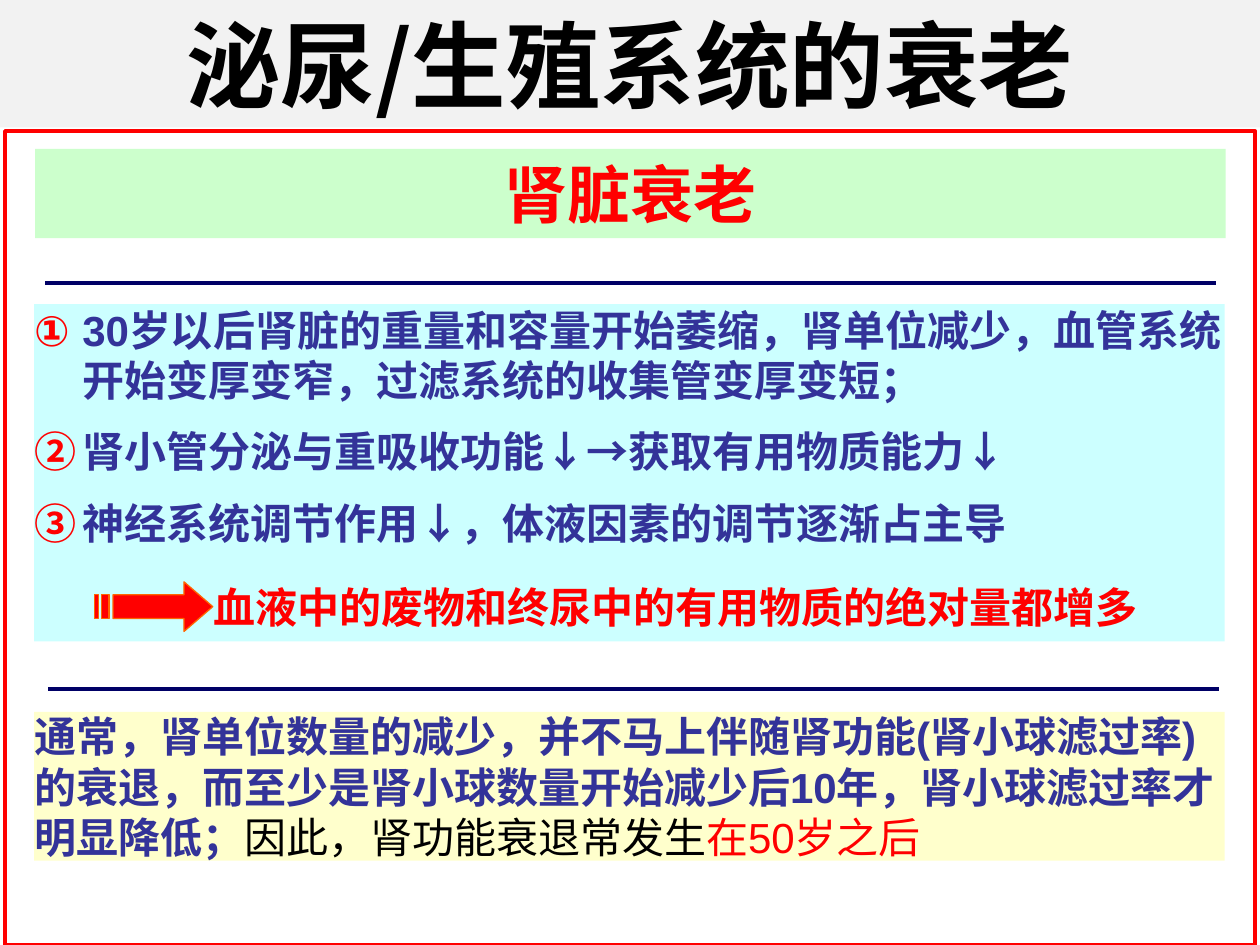
import pptx
import pptx.dml.color
import pptx.enum.shapes
import pptx.enum.text
import pptx.oxml
import pptx.oxml.ns
import pptx.util

Cm, Pt = pptx.util.Cm, pptx.util.Pt
ALIGN = pptx.enum.text.PP_ALIGN
ANCHOR = pptx.enum.text.MSO_ANCHOR
RECT = pptx.enum.shapes.MSO_SHAPE.RECTANGLE
LINE = pptx.enum.shapes.MSO_CONNECTOR.STRAIGHT
HAN = "Noto Sans CJK SC"
RED, NAVY, BLUE = "FF0000", "000066", "333399"

# Each paragraph is a list of runs: (words, colour, bold)
TITLE = [[("泌尿/生殖系统的衰老", "000000", True)]]
TOPIC = [[("肾脏衰老", RED, True)]]
ITEMS = [
    [("30岁以后肾脏的重量和容量开始萎缩，肾单位减少，血管系统开始变厚变窄，"
      "过滤系统的收集管变厚变短；", BLUE, True)],
    [("肾小管分泌与重吸收功能↓→获取有用物质能力↓", BLUE, True)],
    [("神经系统调节作用↓，体液因素的调节逐渐占主导", BLUE, True)],
]
RESULT = [[("血液中的废物和终尿中的有用物质的绝对量都增多", RED, True)]]
NOTE = [[
    ("通常，肾单位数量的减少，并不马上伴随肾功能(肾小球滤过率)的衰退，"
     "而至少是肾小球数量开始减少后10年，肾小球滤过率才明显降低；", BLUE, True),
    ("因此，肾功能衰退常发生", "000000", False),
    ("在50岁之后", RED, False),
]]
RULES = [(0.91, 5.71), (0.97, 13.89)]  # left, top
RULE_W = 23.6
LEFT, WIDE = 0.69, 24


def tint(text):
    return pptx.dml.color.RGBColor.from_string(text)


def paint(shape, fill=None, line=None, width=0):
    shape.shadow.inherit = False
    if fill:
        shape.fill.solid()
        shape.fill.fore_color.rgb = tint(fill)
    else:
        shape.fill.background()
    if line:
        shape.line.color.rgb = tint(line)
        shape.line.width = Pt(width)
    else:
        shape.line.fill.background()


def panel(slide, box, fill=None, line=None, width=0):
    shape = slide.shapes.add_shape(RECT, *map(Cm, box))
    paint(shape, fill, line, width)
    return shape


def write(shape, paras, size=24, face="Arial", align=ALIGN.LEFT,
          anchor=ANCHOR.MIDDLE, inset=(0, 0), wrap=True):
    frame = shape.text_frame
    frame.word_wrap = wrap
    frame.vertical_anchor = anchor
    frame.margin_left = frame.margin_right = Cm(inset[0])
    frame.margin_top = frame.margin_bottom = Cm(inset[1])
    for i, runs in enumerate(paras):
        para = frame.add_paragraph() if i else frame.paragraphs[0]
        para.alignment = align
        if i:
            para.space_before = Pt(size / 2)
        for words, color, bold in runs:
            run = para.add_run()
            run.text = words
            font = run.font
            font.size, font.name, font.bold = Pt(size), face, bold
            font.color.rgb = tint(color)
            ea = pptx.oxml.parse_xml(
                f'<a:ea {pptx.oxml.ns.nsdecls("a")} typeface="{HAN}"/>')
            run._r.get_or_add_rPr().find(pptx.oxml.ns.qn("a:latin")).addnext(ea)


def number(para, indent=0.97):
    """Give a paragraph a hanging red circled number."""
    props = para._p.get_or_add_pPr()
    props.set("marL", str(Cm(indent)))
    props.set("indent", str(-Cm(indent)))
    names = pptx.oxml.ns.nsdecls("a")
    for part in (f'<a:buClr {names}><a:srgbClr val="{RED}"/></a:buClr>',
                 f'<a:buAutoNum {names} type="circleNumDbPlain"/>'):
        props.append(pptx.oxml.parse_xml(part))


def rule(slide, left, top):
    line = slide.shapes.add_connector(
        LINE, Cm(left), Cm(top), Cm(left + RULE_W), Cm(top))
    line.line.color.rgb = tint(NAVY)
    line.line.width = Pt(2)
    line._element.spPr.append(pptx.oxml.parse_xml(
        f'<a:effectLst {pptx.oxml.ns.nsdecls("a")}/>'))


def arrow(slide, left=1.9, mid=12.23, stem=0.24, half=0.5):
    """Draw an arrow whose tail breaks up into two stripes."""
    neck, tip = left + 1.81, left + 2.39
    up, down = mid - stem, mid + stem
    start = left + 0.38
    paths = [[(neck, mid - half), (neck, up), (start, up), (start, down),
              (neck, down), (neck, mid + half), (tip, mid)]]
    for a, b in ((0.15, 0.3), (0, 0.08)):
        paths.append([(left + a, up), (left + a, down),
                      (left + b, down), (left + b, up)])
    pen = None
    for path in paths:
        dots = [(Cm(x), Cm(y)) for x, y in path]
        if pen is None:
            pen = slide.shapes.build_freeform(*dots[0])
        else:
            pen.move_to(*dots[0])
        pen.add_line_segments(dots[1:], close=True)
    paint(pen.convert_to_shape(), RED, "FF6600", 0.75)


def main():
    deck = pptx.Presentation()
    deck.slide_width, deck.slide_height = Cm(25.4), Cm(19.05)
    slide = deck.slides.add_slide(deck.slide_layouts[6])

    head = panel(slide, (0, 0, 25.4, 2.57), "F2F2F2")
    write(head, TITLE, 54, HAN, ALIGN.CENTER, inset=(0.05, 0.13), wrap=False)
    panel(slide, (0.1, 2.64, 25.2, 16.4), line=RED, width=2)
    topic = panel(slide, (0.71, 3, WIDE, 1.8), "CCFFCC")
    write(topic, TOPIC, 36, HAN, ALIGN.CENTER, inset=(0.25, 0.13))

    items = panel(slide, (LEFT, 6.13, WIDE, 6.8), "CCFFFF")
    write(items, ITEMS, anchor=ANCHOR.TOP)
    for para in items.text_frame.paragraphs:
        number(para)
    note = panel(slide, (LEFT, 14.35, WIDE, 3), "FFFFCC")
    write(note, NOTE)

    for spot in RULES:
        rule(slide, *spot)
    arrow(slide)
    result = slide.shapes.add_textbox(*map(Cm, (4.3, 11.53, 19.8, 1.4)))
    write(result, RESULT)
    deck.save("out.pptx")


if __name__ == "__main__":
    main()
